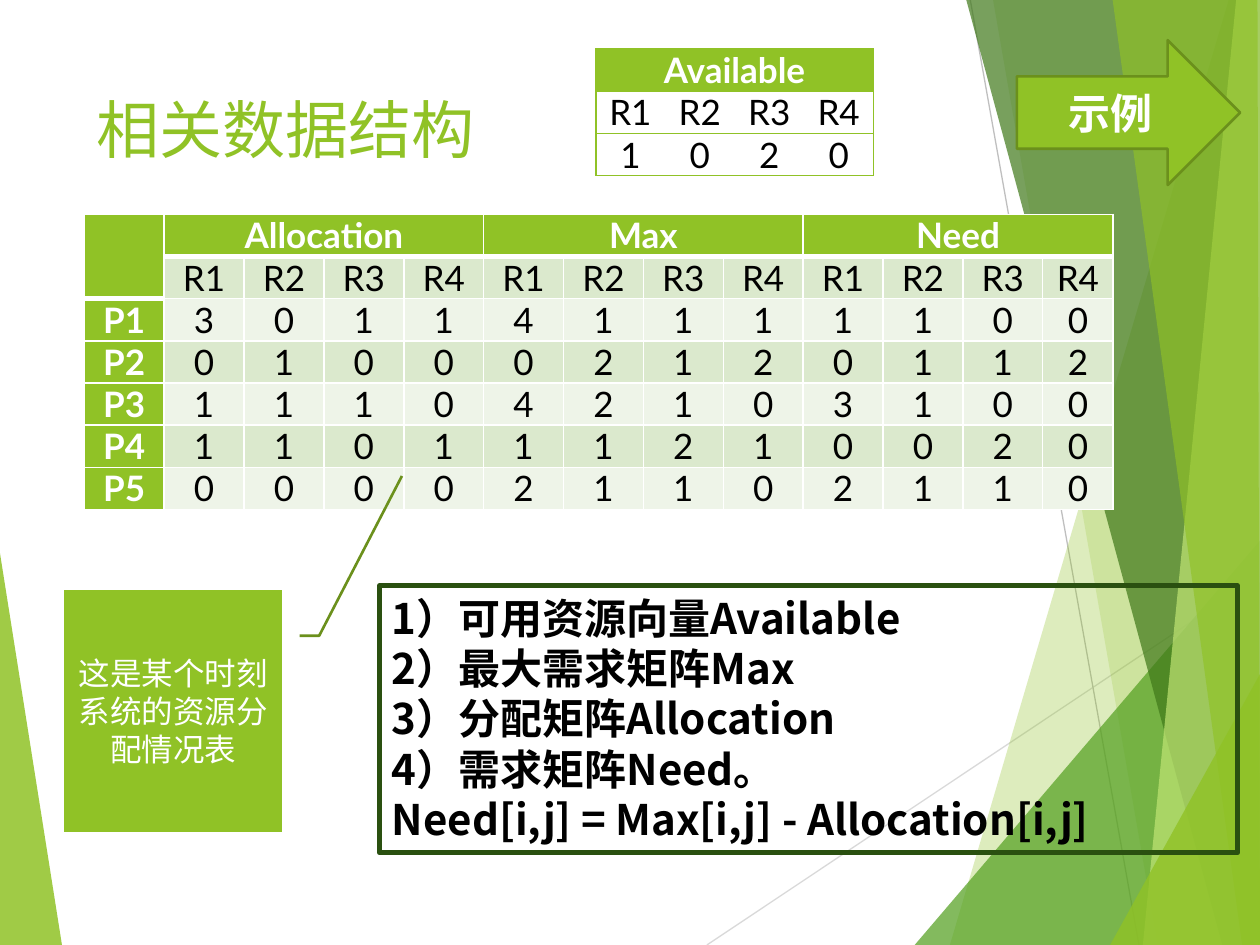
from lxml import etree
from pptx import Presentation
from pptx.dml.color import RGBColor
from pptx.enum.shapes import MSO_CONNECTOR, MSO_SHAPE
from pptx.enum.text import MSO_ANCHOR, MSO_AUTO_SIZE, PP_ALIGN
from pptx.oxml.ns import qn
from pptx.util import Cm, Pt

TOP, MIDDLE = MSO_ANCHOR.TOP, MSO_ANCHOR.MIDDLE
LEFT, CENTER = PP_ALIGN.LEFT, PP_ALIGN.CENTER
RECTANGLE, RIGHT_ARROW = MSO_SHAPE.RECTANGLE, MSO_SHAPE.RIGHT_ARROW
CALLOUT = MSO_SHAPE.LINE_CALLOUT_2_NO_BORDER
STRAIGHT = MSO_CONNECTOR.STRAIGHT
GROW = MSO_AUTO_SIZE.SHAPE_TO_FIT_TEXT
PLAIN_TABLE = "{2D5ABB26-0587-4C30-8999-92F81FD0307C}"
WIDTH, HEIGHT = 25.4, 19.05
LATIN, CJK = "Lato", "Noto Sans CJK SC"
COLORS = {
    "lime": "90C226", "lime_edge": "6B901C", "leaf": "54A021", "forest": "3F7819",
    "pale": "C0E474", "frame": "2A5010", "band_dark": "DBE9CD", "band_light": "EEF4E8",
    "white": "FFFFFF", "black": "000000", "gray": "BFBFBF", "light_gray": "D9D9D9",
}


def rgb(color):
    return RGBColor.from_string(COLORS[color])


class SlideBuilder:
    """Draws styled elements on one slide; all lengths are centimetres."""

    def __init__(self, slide):
        self.slide = slide
        self.shapes = slide.shapes

    def add_lines(self, frame, lines, size, color, bold=False, align=LEFT, font=LATIN):
        for index, line in enumerate(lines):
            paragraph = frame.paragraphs[0] if index == 0 else frame.add_paragraph()
            paragraph.alignment = align
            run = paragraph.add_run()
            run.text = line
            run.font.size, run.font.bold, run.font.name = Pt(size), bold, font
            run.font.color.rgb = rgb(color)
            east_asian = etree.SubElement(run.font._element, qn("a:ea"))
            east_asian.set("typeface", CJK)

    def facet(self, color, opacity, points):
        """Adds a borderless polygon with opacity in percent."""
        corners = [(Cm(x), Cm(y)) for x, y in points]
        outline = self.shapes.build_freeform(*corners[0], scale=1.0)
        outline.add_line_segments(corners[1:], close=True)
        polygon = outline.convert_to_shape()
        polygon.shadow.inherit = False
        polygon.fill.solid()
        polygon.fill.fore_color.rgb = rgb(color)
        polygon.line.fill.background()
        tint = polygon._element.spPr.find(f"{qn('a:solidFill')}/{qn('a:srgbClr')}")
        etree.SubElement(tint, qn("a:alpha")).set("val", str(opacity * 1000))

    def hairline(self, color, *ends):
        line = self.shapes.add_connector(STRAIGHT, *map(Cm, ends))
        line.line.color.rgb = rgb(color)
        line.line.width = Pt(0.75)
        etree.SubElement(line._element.spPr, qn("a:effectLst"))

    def title(self, text, *box):
        frame = self.shapes.add_textbox(*map(Cm, box)).text_frame
        frame.word_wrap = True
        self.add_lines(frame, [text], 36, "lime")

    def block(self, kind, box, fill, edge, edge_width, anchor=MIDDLE):
        shape = self.shapes.add_shape(kind, *map(Cm, box))
        shape.shadow.inherit = False
        if fill:
            shape.fill.solid()
            shape.fill.fore_color.rgb = rgb(fill)
        else:
            shape.fill.background()
        shape.line.color.rgb = rgb(edge)
        shape.line.width = Pt(edge_width)
        shape.text_frame.word_wrap = True
        shape.text_frame.vertical_anchor = anchor
        return shape

    def table(self, left, top, col_widths, row_count, row_height):
        frame = self.shapes.add_table(row_count, len(col_widths), Cm(left), Cm(top),
                                      Cm(sum(col_widths)), Cm(row_count * row_height))
        frame._element.find(f".//{qn('a:tableStyleId')}").text = PLAIN_TABLE
        grid = frame.table
        for column, width in zip(grid.columns, col_widths):
            column.width = Cm(width)
        for row in grid.rows:
            row.height = Cm(row_height)
        return grid

    def cell(self, cell, text, fill, borders, header=False):
        """Fills a cell; borders maps the sides L, R, T, B to (color, points)."""
        cell.margin_left = cell.margin_right = Cm(0.18)
        cell.margin_top = cell.margin_bottom = 0
        if text:
            self.add_lines(cell.text_frame, [text], 20, "white" if header else "black",
                           header, CENTER)
        properties = cell._tc.get_or_add_tcPr()
        for side in "LRTB":
            if side in borders:
                color, width = borders[side]
                edge = etree.SubElement(properties, qn(f"a:ln{side}"), w=str(Pt(width)))
                solid = etree.SubElement(edge, qn("a:solidFill"))
                etree.SubElement(solid, qn("a:srgbClr"), val=COLORS[color])
        if fill:
            cell.fill.solid()
            cell.fill.fore_color.rgb = rgb(fill)
        else:
            cell.fill.background()


def draw_background(builder):
    corner, top_corner = (WIDTH, HEIGHT), (WIDTH, 0)
    builder.facet("lime", 85, [(0, 11.15), (1.25, HEIGHT), (0, HEIGHT)])
    builder.hairline("light_gray", 14.25, HEIGHT, WIDTH, 11.61)
    builder.hairline("gray", 19.56, 0, 22.96, HEIGHT)
    for color, opacity, start, end, last in (
        ("lime", 30, (24.77, 0), (19.15, HEIGHT), top_corner),
        ("lime", 20, (20.02, 0), (23.34, HEIGHT), top_corner),
        ("leaf", 72, (18.44, HEIGHT), (WIDTH, 10.9), None),
        ("forest", 70, (19.48, 0), (24.64, HEIGHT), top_corner),
        ("pale", 70, (24.92, 0), (23.04, HEIGHT), top_corner),
        ("lime", 65, (22.43, 0), (25.04, HEIGHT), (25.35, 0)),
        ("lime", 80, (22.38, HEIGHT), (WIDTH, 13.59), None),
    ):
        builder.facet(color, opacity, [start, end, corner] + ([last] if last else []))


def draw_allocation_table(builder):
    resources = ["R1", "R2", "R3", "R4"]
    groups = ["Allocation", "Max", "Need"]
    processes = {
        "P1": "301141111100",
        "P2": "010002120112",
        "P3": "111042103100",
        "P4": "110111210020",
        "P5": "000021102110",
    }
    rows = [[""] + [text for group in groups for text in (group, "", "", "")],
            [""] + resources * len(groups)]
    rows += [[name, *counts] for name, counts in processes.items()]
    grid = builder.table(1.7, 4.32, [1.61] * 12 + [1.42], len(rows), 0.85)
    grid.cell(0, 0).merge(grid.cell(1, 0))
    for first in range(1, 13, 4):
        grid.cell(0, first).merge(grid.cell(0, first + 3))
    for r, row in enumerate(rows):
        for c, text in enumerate(row):
            header = r == 0 or c == 0
            band = "band_dark" if r % 2 else "band_light"
            borders = dict.fromkeys("LRTB", ("white", 1))
            if r == 0 or (r == 1 and c == 0):
                borders["B"] = ("white", 3)
            elif r == 1:
                borders["T"] = ("white", 3)
            builder.cell(grid.cell(r, c), text, "lime" if header else band, borders, header)


def draw_available_table(builder):
    rows = [["Available", "", "", ""], ["R1", "R2", "R3", "R4"], ["1", "0", "2", "0"]]
    grid = builder.table(12.01, 0.99, [1.4] * 4, len(rows), 0.85)
    grid.cell(0, 0).merge(grid.cell(0, 3))
    for r, row in enumerate(rows):
        for c, text in enumerate(row):
            sides = "TB" + ("L" if c == 0 else "") + ("R" if c == 3 or r == 0 else "")
            builder.cell(grid.cell(r, c), text, None if r else "lime",
                         dict.fromkeys(sides, ("lime", 1)), header=r == 0)


def main():
    deck = Presentation()
    deck.slide_width, deck.slide_height = Cm(WIDTH), Cm(HEIGHT)
    builder = SlideBuilder(deck.slides.add_slide(deck.slide_layouts[6]))

    draw_background(builder)
    builder.title("相关数据结构", 1.7, 1.7, 17.63, 3.66)
    draw_allocation_table(builder)
    draw_available_table(builder)

    definitions = builder.block(RECTANGLE, (7.65, 11.81, 17.3, 5.38), None, "frame", 3, TOP)
    definitions.text_frame.auto_size = GROW
    builder.add_lines(definitions.text_frame, [
        "1）可用资源向量Available",
        "2）最大需求矩阵Max",
        "3）分配矩阵Allocation",
        "4）需求矩阵Need。",
        "Need[i,j] = Max[i,j] - Allocation[i,j]",
    ], 24, "black", True, font=CJK)

    remark = builder.block(CALLOUT, (1.3, 11.89, 4.39, 4.88), "lime", "lime_edge", 1.5)
    remark._element.spPr.find(qn("a:xfrm")).set("flipH", "1")
    for index, value in enumerate((0.19, -0.08, 0.19, -0.17, -0.47, -0.55)):
        remark.adjustments[index] = value
    builder.add_lines(remark.text_frame, ["这是某个时刻系统的资源分配情况表"], 18, "white",
                      align=CENTER)

    example = builder.block(RIGHT_ARROW, (20.5, 0.81, 4.5, 2.92), "lime", "lime_edge", 1.5)
    builder.add_lines(example.text_frame, ["示例"], 24, "white", True, CENTER)

    deck.save("out.pptx")


if __name__ == "__main__":
    main()
